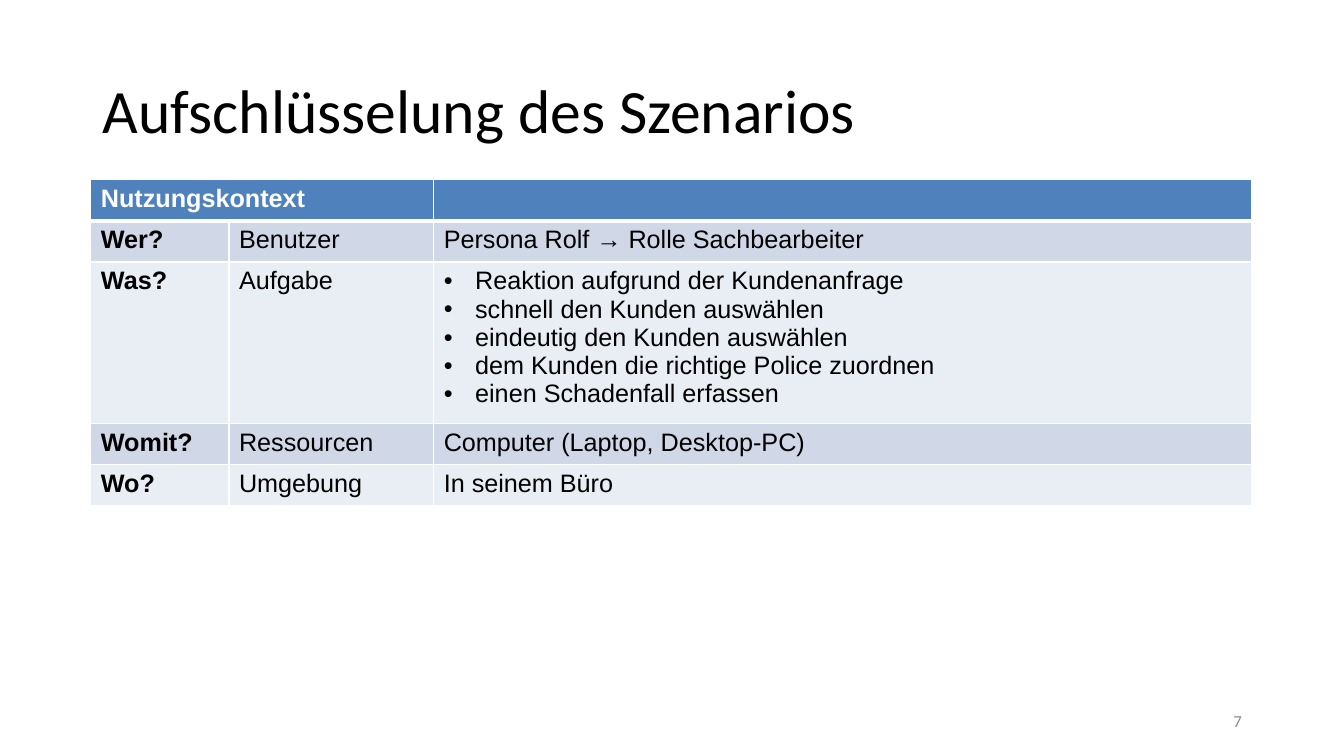
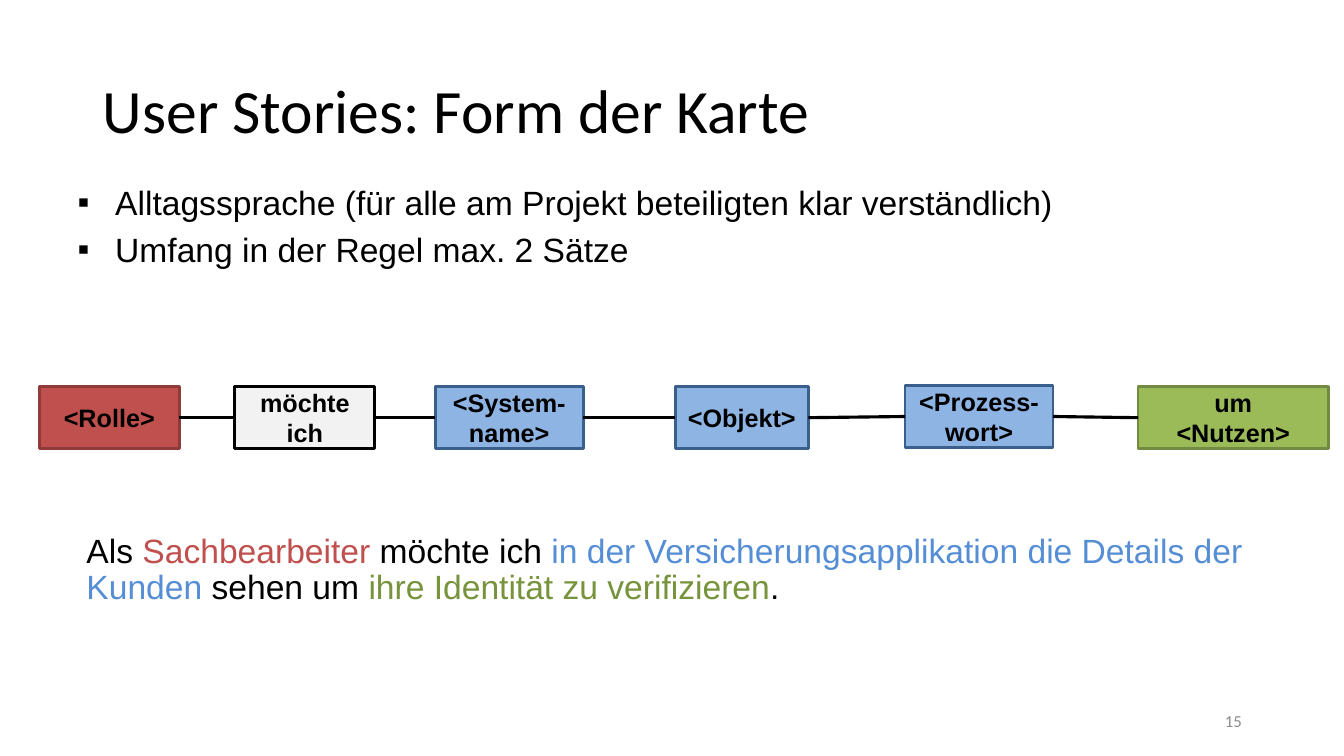
from lxml.etree import SubElement
from pptx import Presentation
from pptx.dml.color import RGBColor
from pptx.enum.shapes import MSO_CONNECTOR, MSO_SHAPE
from pptx.enum.text import MSO_ANCHOR, PP_ALIGN
from pptx.oxml import parse_xml
from pptx.oxml.ns import nsdecls, qn
from pptx.util import Cm, Pt

BLACK = RGBColor(0x00, 0x00, 0x00)
WHITE = RGBColor(0xFF, 0xFF, 0xFF)
GREY = RGBColor(0x8C, 0x8C, 0x8C)
LIGHT_GREY = RGBColor(0xF2, 0xF2, 0xF2)
HEADER_BLUE = RGBColor(0x4F, 0x81, 0xBD)
BAND_DARK = RGBColor(0xD0, 0xD8, 0xE8)
BAND_LIGHT = RGBColor(0xE9, 0xED, 0xF4)
RED = RGBColor(0xC0, 0x50, 0x4D)
RED_EDGE = RGBColor(0x8E, 0x3B, 0x39)
BLUE = RGBColor(0x8E, 0xB4, 0xE3)
BLUE_EDGE = RGBColor(0x3A, 0x5F, 0x8C)
BLUE_TEXT = RGBColor(0x55, 0x8E, 0xD5)
GREEN = RGBColor(0x9B, 0xBB, 0x59)
GREEN_EDGE = RGBColor(0x73, 0x8A, 0x42)
GREEN_TEXT = RGBColor(0x77, 0x93, 0x3C)


def write(frame, paragraphs, size=18, font="Arial", color=BLACK, bold=False,
          align=PP_ALIGN.LEFT, anchor=None, spacing=None, bullet=None, indent=0):
    frame.word_wrap = True
    if anchor is not None:
        frame.vertical_anchor = anchor
    for index, runs in enumerate(paragraphs):
        para = frame.add_paragraph() if index else frame.paragraphs[0]
        para.alignment = align
        if spacing:
            para.line_spacing = spacing
        if bullet:
            properties = para._p.get_or_add_pPr()
            properties.set("marL", str(Cm(indent)))
            properties.set("indent", str(-Cm(indent)))
            SubElement(properties, qn("a:buFont")).set("typeface", "Arial")
            SubElement(properties, qn("a:buChar")).set("char", bullet)
        for text, run_color in [(runs, color)] if isinstance(runs, str) else runs:
            span = para.add_run()
            span.text = text
            span.font.name = font
            span.font.size = Pt(size)
            span.font.bold = bold
            span.font.color.rgb = run_color


def add_page(layout, title, number):
    page = deck.slides.add_slide(deck.slide_layouts[layout])
    heading = page.shapes.title
    heading.left, heading.top, heading.width, heading.height = Cm(2.34), Cm(1.02), Cm(29.21), Cm(3.68)
    write(heading.text_frame, [title], size=44, font="Calibri",
          anchor=MSO_ANCHOR.MIDDLE, spacing=0.9)
    number_box = page.shapes.add_textbox(Cm(23.93), Cm(17.65), Cm(7.62), Cm(1.02))
    write(number_box.text_frame, [number], size=12, font="Calibri", color=GREY,
          align=PP_ALIGN.RIGHT, anchor=MSO_ANCHOR.MIDDLE)
    return page


deck = Presentation()
deck.slide_width, deck.slide_height = Cm(33.87), Cm(19.05)

context_page = add_page(5, "Aufschlüsselung des Szenarios", "7")
context_rows = [
    ("Nutzungskontext", "", []),
    ("Wer?", "Benutzer", ["Persona Rolf → Rolle Sachbearbeiter"]),
    ("Was?", "Aufgabe", [
        "Reaktion aufgrund der Kundenanfrage",
        "schnell den Kunden auswählen",
        "eindeutig den Kunden auswählen",
        "dem Kunden die richtige Police zuordnen",
        "einen Schadenfall erfassen",
    ]),
    ("Womit?", "Ressourcen", ["Computer (Laptop, Desktop-PC)"]),
    ("Wo?", "Umgebung", ["In seinem Büro"]),
]
column_widths = [3.48, 5.16, 20.6]
row_heights = [1.04, 1.04, 3.83, 1.04, 1.04]
table = context_page.shapes.add_table(
    len(row_heights), len(column_widths), Cm(2.29), Cm(4.52),
    Cm(sum(column_widths)), Cm(sum(row_heights))).table
table.first_row = table.horz_banding = False
for column, width in zip(table.columns, column_widths):
    column.width = Cm(width)
for row, height in zip(table.rows, row_heights):
    row.height = Cm(height)
table.cell(0, 0).merge(table.cell(0, 1))

for row_index, (question, topic, answers) in enumerate(context_rows):
    band = BAND_DARK if row_index % 2 else BAND_LIGHT
    for column_index, lines in enumerate(([question], [topic] if topic else [], answers)):
        cell = table.cell(row_index, column_index)
        cell.fill.solid()
        cell.fill.fore_color.rgb = band if row_index else HEADER_BLUE
        write(cell.text_frame, lines, color=BLACK if row_index else WHITE,
              bold=column_index == 0, bullet="•" if len(lines) > 1 else None, indent=0.79)
        thick_side = {0: "lnB", 1: "lnT"}.get(row_index)
        for position, side in enumerate(("lnL", "lnR", "lnT", "lnB")):
            border_width = Pt(3 if side == thick_side else 1)
            cell._tc.get_or_add_tcPr().insert(position, parse_xml(
                f'<a:{side} {nsdecls("a")} w="{border_width}"><a:solidFill>'
                f'<a:srgbClr val="{WHITE}"/></a:solidFill></a:{side}>'))

story_page = add_page(1, "User Stories: Form der Karte", "15")
body = story_page.placeholders[1]
body.left, body.top, body.width, body.height = Cm(1.7), Cm(4.45), Cm(30.48), Cm(4.32)
write(body.text_frame, [
    "Alltagssprache (für alle am Projekt beteiligten klar verständlich)",
    "Umfang in der Regel max. 2 Sätze",
], size=24, bullet="▪", indent=0.95)

card_parts = [
    (["<Rolle>"], 0.99, 9.75, 3.53, RED, RED_EDGE),
    (["möchte", "ich"], 5.92, 9.75, 3.53, LIGHT_GREY, BLACK),
    (["<System-name>"], 10.97, 9.75, 3.73, BLUE, BLUE_EDGE),
    (["<Objekt>"], 17.02, 9.75, 3.35, BLUE, BLUE_EDGE),
    (["<Prozess-", "wort>"], 22.81, 9.72, 3.73, BLUE, BLUE_EDGE),
    (["um", "<Nutzen>"], 28.68, 9.75, 4.8, GREEN, GREEN_EDGE),
]
boxes = []
for lines, left, top, width, fill, edge in card_parts:
    box = story_page.shapes.add_shape(MSO_SHAPE.RECTANGLE, Cm(left), Cm(top), Cm(width), Cm(1.55))
    box.shadow.inherit = False
    box.fill.solid()
    box.fill.fore_color.rgb = fill
    box.line.color.rgb = edge
    box.line.width = Pt(2)
    write(box.text_frame, lines, bold=True, align=PP_ALIGN.CENTER, anchor=MSO_ANCHOR.MIDDLE)
    boxes.append(box)

for start, end in zip(boxes, boxes[1:]):
    link = story_page.shapes.add_connector(MSO_CONNECTOR.STRAIGHT, 0, 0, 0, 0)
    link.begin_connect(start, 3)
    link.end_connect(end, 1)
    link.line.color.rgb = BLACK
    link.line.width = Pt(2.25)
    SubElement(link._element.spPr, qn("a:effectLst"))

example = story_page.shapes.add_textbox(Cm(1.93), Cm(13.34), Cm(30.48), Cm(2.16))
write(example.text_frame, [[
    ("Als ", BLACK),
    ("Sachbearbeiter", RED),
    (" möchte ich ", BLACK),
    ("in der Versicherungsapplikation die Details der Kunden", BLUE_TEXT),
    (" sehen um ", BLACK),
    ("ihre Identität zu verifizieren", GREEN_TEXT),
    (".", BLACK),
]], size=24, spacing=0.9)

deck.save("out.pptx")
